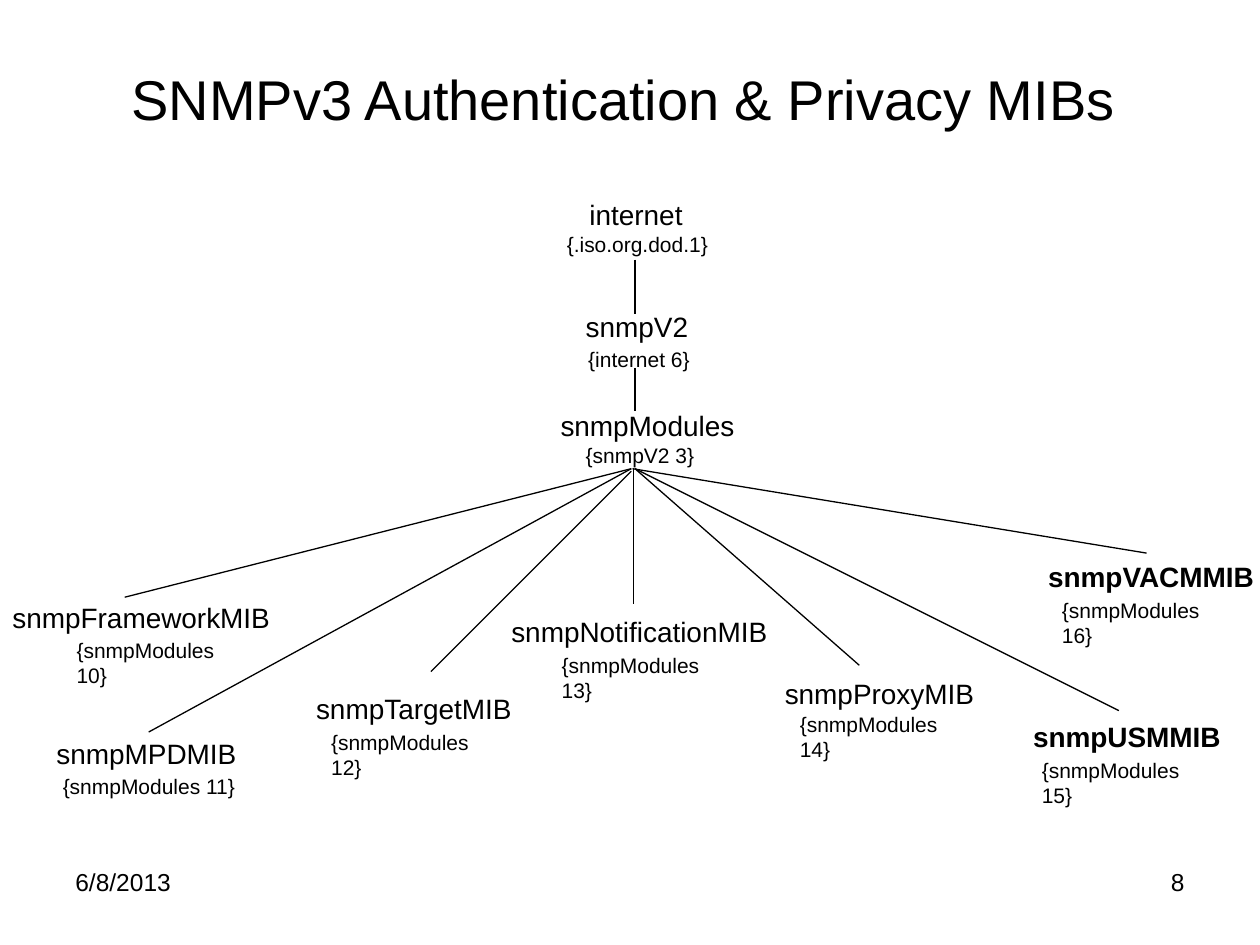
from dataclasses import dataclass

from lxml import etree
from pptx import Presentation
from pptx.dml.color import RGBColor
from pptx.enum.shapes import MSO_CONNECTOR
from pptx.enum.text import MSO_ANCHOR, PP_ALIGN
from pptx.oxml.ns import qn
from pptx.slide import Slide
from pptx.text.text import TextFrame
from pptx.util import Inches, Pt

BLACK = RGBColor(0x00, 0x00, 0x00)
FONT = "Arial"
STRAIGHT = MSO_CONNECTOR.STRAIGHT
MIDDLE = MSO_ANCHOR.MIDDLE
LEFT, CENTER, RIGHT = PP_ALIGN.LEFT, PP_ALIGN.CENTER, PP_ALIGN.RIGHT
TITLE_ONLY = 5
NAME_HEIGHT = 0.37
IDENTIFIER_HEIGHT = 0.3
MODULE_WIDTH = 1.57  # narrow enough to put the module number on a second line


@dataclass
class Node:
    """A MIB node: its name and, below it, its object identifier."""
    name: str
    left: float
    top: float
    width: float
    identifier: str
    identifier_left: float
    identifier_top: float
    identifier_width: float = MODULE_WIDTH
    bold: bool = False


@dataclass
class Branch:
    """A straight line between two points of the tree."""
    start: tuple[float, float]
    end: tuple[float, float]


NODES = [
    Node("internet", 4.58, 1.52, 0.94, "{.iso.org.dod.1}", 4.4, 1.79, 1.35),
    Node("snmpV2", 4.55, 2.41, 1.02, "{internet 6}", 4.57, 2.7, 1.05),
    Node("snmpModules", 4.35, 3.19, 1.58, "{snmpV2 3}", 4.55, 3.46, 1.1),
    Node("snmpFrameworkMIB", 0, 4.72, 2.25, "{snmpModules 10}", 0.51, 5.01),
    Node("snmpMPDMIB", 0.35, 5.8, 1.63, "{snmpModules 11}", 0.4, 6.09, 1.6),
    Node("snmpTargetMIB", 2.41, 5.44, 1.78, "{snmpModules 12}", 2.53, 5.74),
    Node("snmpNotificationMIB", 3.96, 4.83, 2.24, "{snmpModules 13}", 4.36, 5.13),
    Node("snmpProxyMIB", 6.13, 5.32, 1.71, "{snmpModules 14}", 6.25, 5.6),
    Node("snmpUSMMIB", 8.1, 5.66, 1.69, "{snmpModules 15}", 8.17, 5.96, bold=True),
    Node("snmpVACMMIB", 8.22, 4.39, 1.85, "{snmpModules 16}", 8.33, 4.69, bold=True),
]

BRANCHES = [
    Branch((5.04, 2.06), (5.04, 2.49)),
    Branch((5.04, 2.92), (5.04, 3.26)),
    Branch((5.01, 3.72), (0.99, 4.74)),
    Branch((5.01, 3.72), (1.18, 5.81)),
    Branch((5.01, 3.74), (3.42, 5.33)),
    Branch((5.03, 3.72), (5.03, 4.79)),
    Branch((5.04, 3.72), (6.82, 5.28)),
    Branch((5.04, 3.72), (8.88, 5.64)),
    Branch((5.02, 3.72), (9.1, 4.39)),
]


def write_text(frame: TextFrame, text: str, size: float,
               alignment: PP_ALIGN = LEFT, bold: bool = False) -> None:
    """Fill a text frame with one formatted paragraph."""
    frame.text = text
    paragraph = frame.paragraphs[0]
    paragraph.alignment = alignment
    paragraph.font.name = FONT
    paragraph.font.size = Pt(size)
    paragraph.font.bold = bold
    paragraph.font.color.rgb = BLACK


def add_label(slide: Slide, box: tuple[float, float, float, float], text: str,
              size: float, alignment: PP_ALIGN = LEFT, bold: bool = False,
              wrap: bool = True) -> None:
    """Add a text box; box is left, top, width, height in inches."""
    frame = slide.shapes.add_textbox(*map(Inches, box)).text_frame
    frame.word_wrap = wrap
    write_text(frame, text, size, alignment, bold)


def add_node(slide: Slide, node: Node) -> None:
    """Add the name and identifier of a node."""
    add_label(slide, (node.left, node.top, node.width, NAME_HEIGHT),
              node.name, 16, bold=node.bold, wrap=False)
    add_label(slide, (node.identifier_left, node.identifier_top,
                      node.identifier_width, IDENTIFIER_HEIGHT),
              node.identifier, 12)


def add_branch(slide: Slide, branch: Branch) -> None:
    """Add a thin black line without a shadow."""
    points = map(Inches, (*branch.start, *branch.end))
    connector = slide.shapes.add_connector(STRAIGHT, *points)
    connector.line.color.rgb = BLACK
    connector.line.width = Pt(0.75)
    etree.SubElement(connector._element.spPr, qn("a:effectLst"))


def add_title(slide: Slide, text: str) -> None:
    """Place and format the title placeholder."""
    title = slide.shapes.title
    title.left, title.top = Inches(0.45), Inches(0.15)
    title.width, title.height = Inches(9), Inches(1.25)
    title.text_frame.vertical_anchor = MIDDLE
    write_text(title.text_frame, text, 32, CENTER)


def main() -> None:
    """Build and save the slide."""
    presentation = Presentation()
    presentation.slide_width = Inches(10)
    presentation.slide_height = Inches(7.5)
    slide = presentation.slides.add_slide(presentation.slide_layouts[TITLE_ONLY])
    add_title(slide, "SNMPv3 Authentication & Privacy MIBs")
    for branch in BRANCHES:
        add_branch(slide, branch)
    for node in NODES:
        add_node(slide, node)
    add_label(slide, (0.5, 6.83, 2.33, 0.52), "6/8/2013", 14)
    add_label(slide, (7.17, 6.83, 2.33, 0.52), "8", 14, RIGHT)
    presentation.save("out.pptx")


main()
